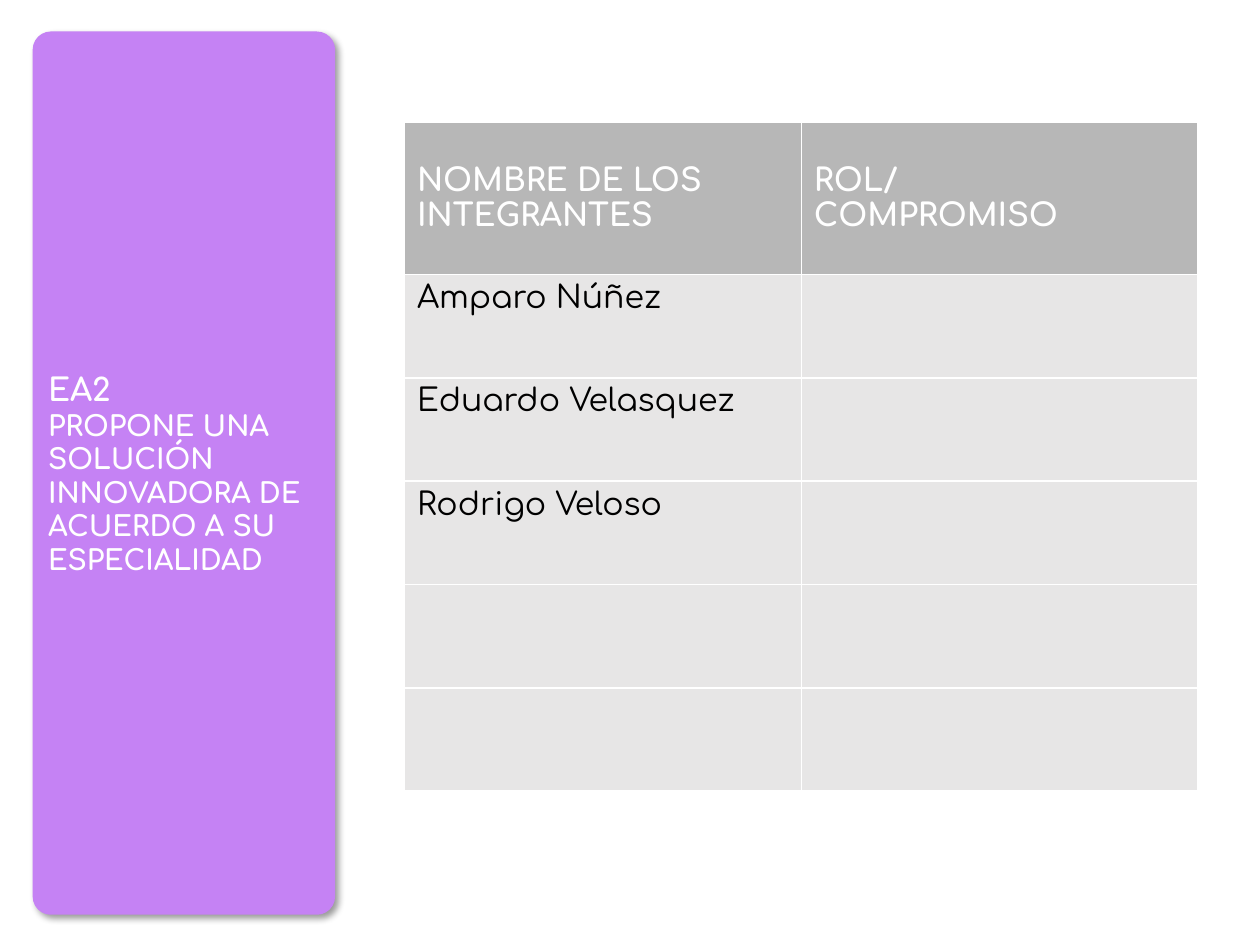
"""Build the slide that lists the team members and their roles."""
from dataclasses import dataclass
from typing import Any

from lxml.etree import SubElement
from pptx import Presentation
from pptx.dml.color import RGBColor
from pptx.enum.shapes import MSO_SHAPE
from pptx.enum.text import MSO_ANCHOR, PP_ALIGN
from pptx.oxml.ns import qn
from pptx.util import Inches, Pt


@dataclass(frozen=True)
class Theme:
    """Colours, font and type sizes of the slide."""
    font: str = "Comfortaa"
    white: str = "FFFFFF"
    black: str = "000000"
    panel: str = "C582F4"
    header: str = "B7B7B7"
    body: str = "E7E6E6"
    large: int = 18
    medium: int = 16


@dataclass(frozen=True)
class Member:
    """One row of the team table."""
    name: str = ""
    role: str = ""


THEME = Theme()
HEADINGS = Member("NOMBRE DE LOS INTEGRANTES", "ROL/\nCOMPROMISO")
MEMBERS = [
    Member("Amparo Núñez"),
    Member("Eduardo Velasquez"),
    Member("Rodrigo Veloso"),
    Member(),
    Member(),
]
OBJECTIVE = "EA2\nPROPONE UNA SOLUCIÓN INNOVADORA DE ACUERDO A SU ESPECIALIDAD"


def format_paragraph(paragraph: Any, size: int, color: str, bold: bool) -> None:
    """Align a paragraph left and set the font of its runs."""
    paragraph.alignment = PP_ALIGN.LEFT
    for run in paragraph.runs:
        run.font.name = THEME.font
        run.font.size = Pt(size)
        run.font.bold = bold
        run.font.color.rgb = RGBColor.from_string(color)


def add_color(parent: Any, color: str) -> Any:
    """Add an RGB colour element."""
    return SubElement(parent, qn("a:srgbClr"), val=color)


def add_shadow(shape: Any) -> None:
    """Give a shape a soft shadow to the lower right."""
    shape.shadow.inherit = False
    effects = shape.element.spPr.find(qn("a:effectLst"))
    shadow = SubElement(
        effects, qn("a:outerShdw"), blurRad=str(Pt(4)), dist=str(Pt(3)),
        dir=str(45 * 60000), algn="tl", rotWithShape="0")
    SubElement(add_color(shadow, THEME.black), qn("a:alpha"), val="40000")


def add_objective_panel(slide: Any) -> None:
    """Draw the rounded side panel with the learning objective."""
    panel = slide.shapes.add_shape(
        MSO_SHAPE.ROUNDED_RECTANGLE,
        Inches(0.26), Inches(0.25), Inches(2.4), Inches(7.01))
    panel.adjustments[0] = 0.06
    panel.fill.solid()
    panel.fill.fore_color.rgb = RGBColor.from_string(THEME.panel)
    panel.line.fill.background()
    add_shadow(panel)
    frame = panel.text_frame
    frame.word_wrap = True
    frame.vertical_anchor = MSO_ANCHOR.MIDDLE
    frame.margin_left = frame.margin_right = Inches(0.08)
    frame.margin_top = frame.margin_bottom = Inches(0.04)
    frame.text = OBJECTIVE
    for paragraph, size in zip(frame.paragraphs, (THEME.large, THEME.medium)):
        format_paragraph(paragraph, size, THEME.white, True)


def fill_cell(cell: Any, text: str, is_header: bool) -> None:
    """Write a cell with its white borders, fill and font."""
    properties = cell._tc.get_or_add_tcPr()
    for side in ("lnL", "lnR", "lnT", "lnB"):
        border = SubElement(properties, qn(f"a:{side}"), w=str(Pt(1)))
        add_color(SubElement(border, qn("a:solidFill")), THEME.white)
    cell.fill.solid()
    cell.fill.fore_color.rgb = RGBColor.from_string(
        THEME.header if is_header else THEME.body)
    cell.vertical_anchor = MSO_ANCHOR.MIDDLE if is_header else MSO_ANCHOR.TOP
    cell.text_frame.text = text
    color = THEME.white if is_header else THEME.black
    for paragraph in cell.text_frame.paragraphs:
        format_paragraph(paragraph, THEME.large, color, is_header)


def add_team_table(slide: Any) -> None:
    """Draw the table of members and roles."""
    entries = [HEADINGS, *MEMBERS]
    header_height, member_height = Inches(1.21), Inches(0.82)
    team = slide.shapes.add_table(
        len(entries), 2, Inches(3.21), Inches(0.97), Inches(6.3),
        header_height + member_height * len(MEMBERS)).table
    for index, entry in enumerate(entries):
        is_header = index == 0
        team.rows[index].height = header_height if is_header else member_height
        for column, text in enumerate((entry.name, entry.role)):
            fill_cell(team.cell(index, column), text, is_header)


def main() -> None:
    """Create and save the presentation."""
    presentation = Presentation()
    presentation.slide_width = Inches(10)
    presentation.slide_height = Inches(7.5)
    slide = presentation.slides.add_slide(presentation.slide_layouts[6])
    add_team_table(slide)
    add_objective_panel(slide)
    presentation.save("out.pptx")


if __name__ == "__main__":
    main()
